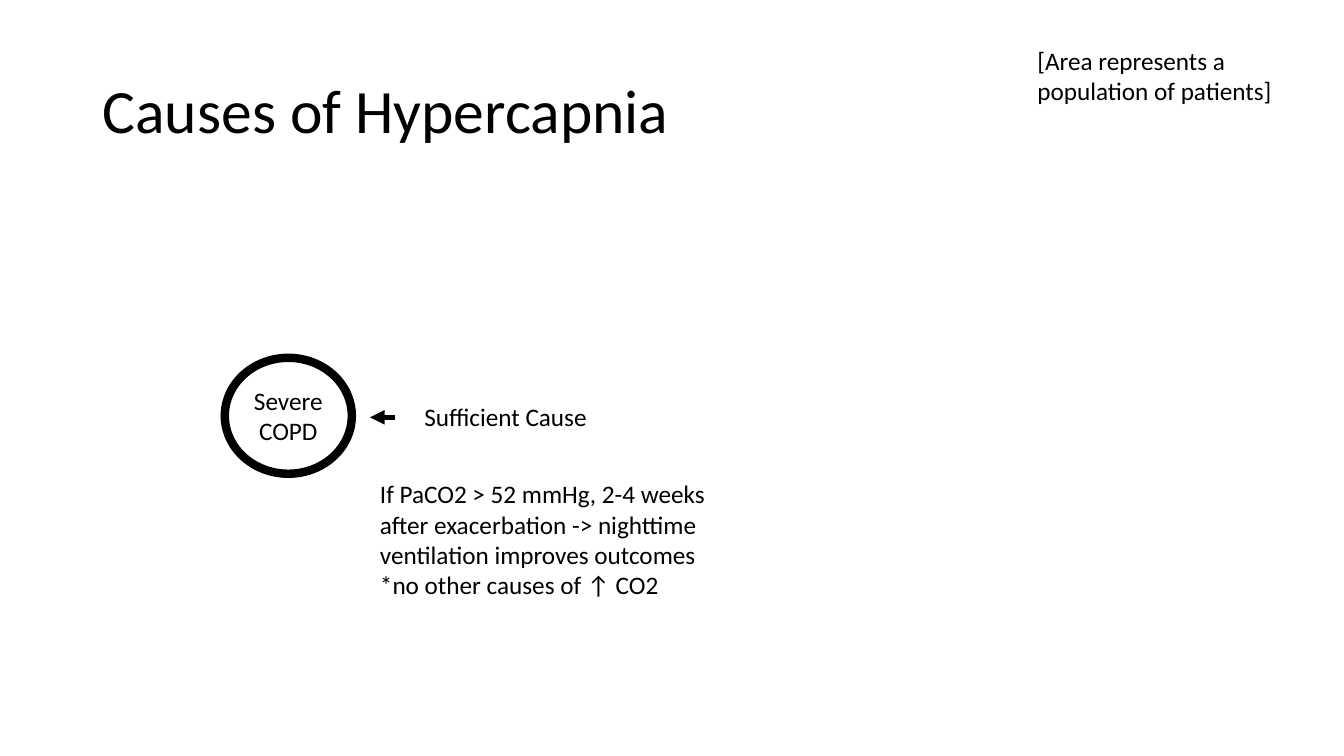
from dataclasses import dataclass
from lxml import etree
from pptx import Presentation
from pptx import util as u
from pptx.dml.color import RGBColor
from pptx.enum import shapes, text
from pptx.oxml import ns


@dataclass(frozen=True)
class Theme:
    font: str = "Calibri"
    ink: RGBColor = RGBColor(0, 0, 0)
    title_size: float = 44
    body_size: float = 18
    ring_width: float = 6
    arrow_width: float = 3.5


THEME = Theme()
SLIDE_WIDTH, SLIDE_HEIGHT = 13.33, 7.5

TITLE = {"lines": ["Causes of Hypercapnia"], "at": (0.92, 0.4, 11.5, 1.45)}
CAUSE = {"lines": ["Severe COPD"], "at": (2.23, 3.55, 1.26, 1.15)}
NOTES = [
    {"lines": ["Sufficient Cause"], "at": (4.11, 3.93, 2.21, 0.4)},
    {
        "lines": [
            "If PaCO2 > 52 mmHg, 2-4 weeks after exacerbation -> nighttime ventilation improves outcomes",
            "*no other causes of ↑️ CO2",
        ],
        "at": (3.67, 4.7, 3.48, 1.31),
    },
    {"lines": ["[Area represents a population of patients]"], "at": (10.19, 0.4, 2.61, 0.73)},
]
ARROW = {"from": (3.92, 4.14), "to": (3.67, 4.14)}


def inches(lengths):
    return [u.Inches(length) for length in lengths]


def write(holder, lines, size, anchor, align=text.PP_ALIGN.LEFT, spacing=1.0):
    frame = holder.text_frame
    frame.text = "\n".join(lines)
    frame.word_wrap = True
    frame.vertical_anchor = anchor
    for paragraph in frame.paragraphs:
        paragraph.alignment = align
        paragraph.line_spacing = spacing
        for run in paragraph.runs:
            run.font.name = THEME.font
            run.font.size = u.Pt(size)
            run.font.color.rgb = THEME.ink


def draw_cause(slide):
    ring = slide.shapes.add_shape(shapes.MSO_SHAPE.OVAL, *inches(CAUSE["at"]))
    ring.shadow.inherit = False
    ring.fill.background()
    ring.line.color.rgb = THEME.ink
    ring.line.width = u.Pt(THEME.ring_width)
    write(ring, CAUSE["lines"], THEME.body_size,
          text.MSO_ANCHOR.MIDDLE, text.PP_ALIGN.CENTER)


def draw_arrow(slide):
    arrow = slide.shapes.add_connector(
        shapes.MSO_CONNECTOR.STRAIGHT, *inches(ARROW["from"] + ARROW["to"]))
    arrow.line.color.rgb = THEME.ink
    arrow.line.width = u.Pt(THEME.arrow_width)
    etree.SubElement(arrow.line._get_or_add_ln(), ns.qn("a:tailEnd"), type="triangle")
    etree.SubElement(arrow._element.spPr, ns.qn("a:effectLst"))


def main():
    deck = Presentation()
    deck.slide_width, deck.slide_height = inches((SLIDE_WIDTH, SLIDE_HEIGHT))
    slide = deck.slides.add_slide(deck.slide_layouts[6])

    title = slide.shapes.add_textbox(*inches(TITLE["at"]))
    write(title, TITLE["lines"], THEME.title_size, text.MSO_ANCHOR.MIDDLE, spacing=0.9)
    draw_cause(slide)
    draw_arrow(slide)
    for note in NOTES:
        box = slide.shapes.add_textbox(*inches(note["at"]))
        write(box, note["lines"], THEME.body_size, text.MSO_ANCHOR.TOP)
        box.text_frame.auto_size = text.MSO_AUTO_SIZE.SHAPE_TO_FIT_TEXT

    deck.save("out.pptx")


if __name__ == "__main__":
    main()
